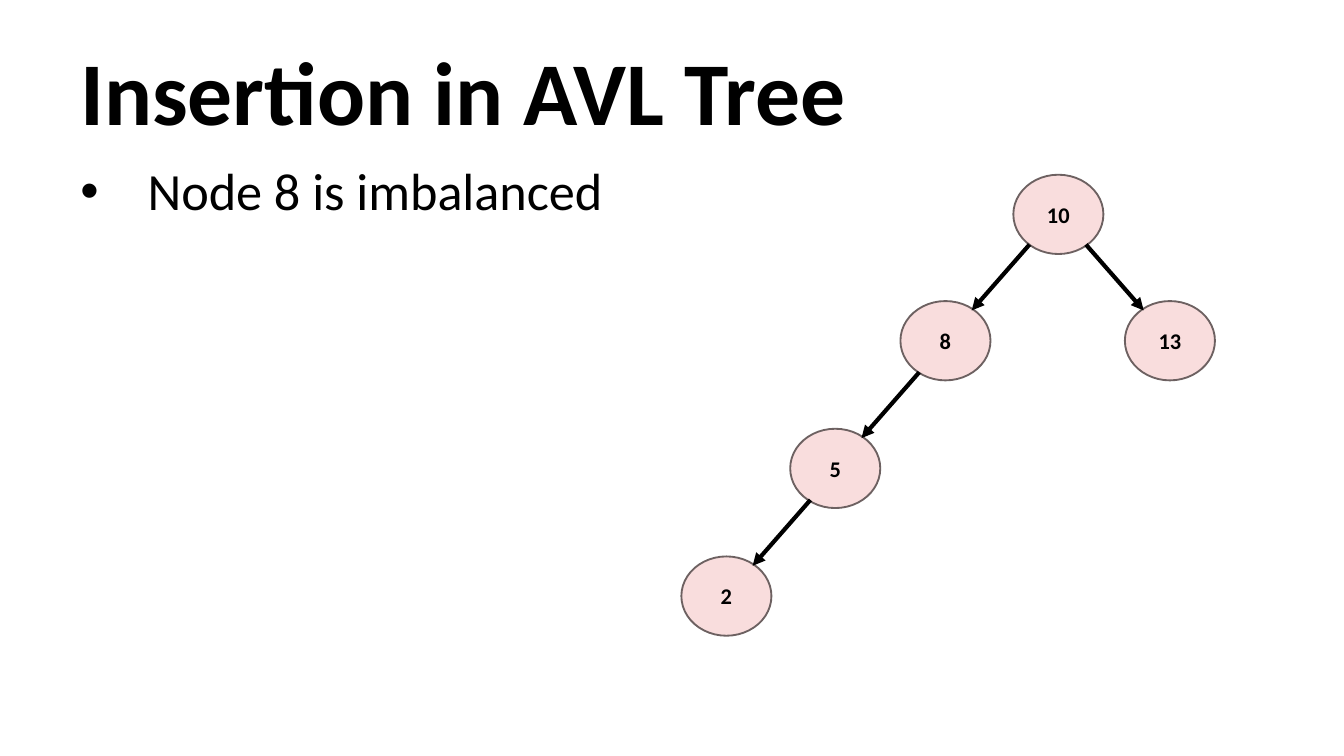
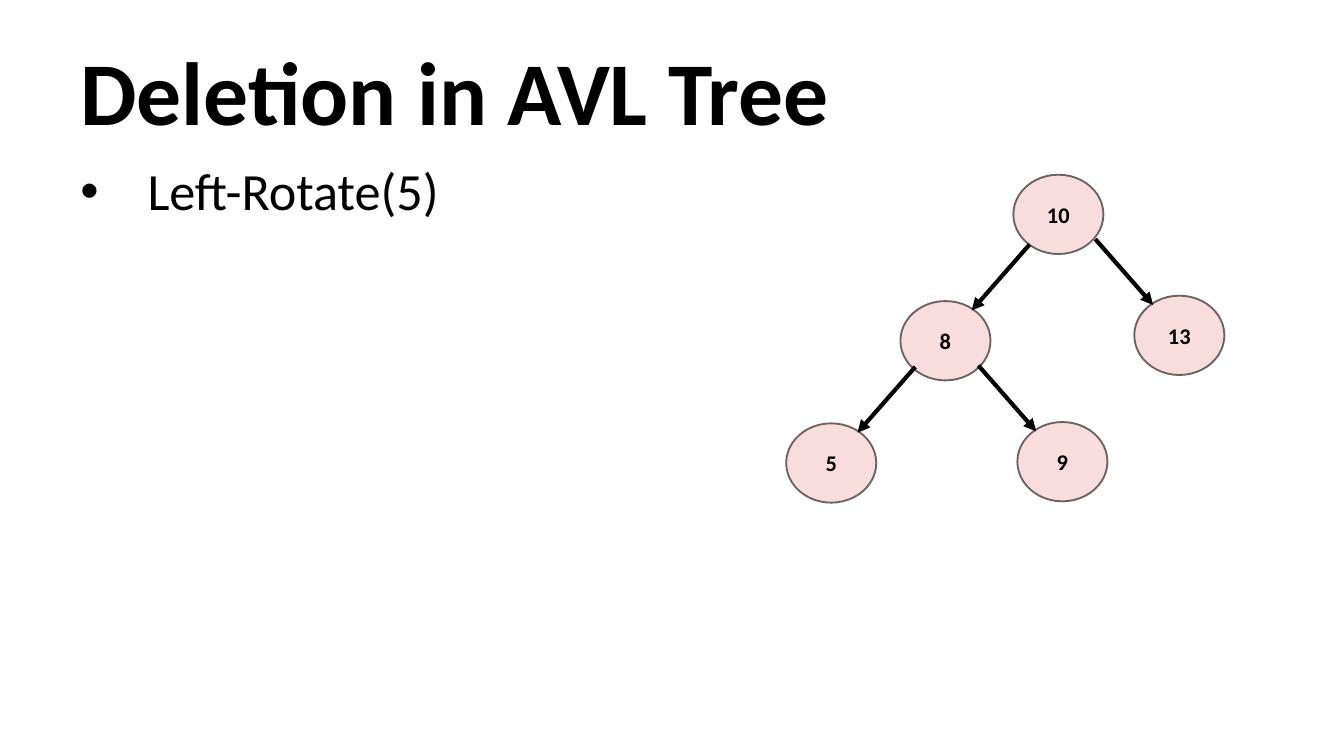
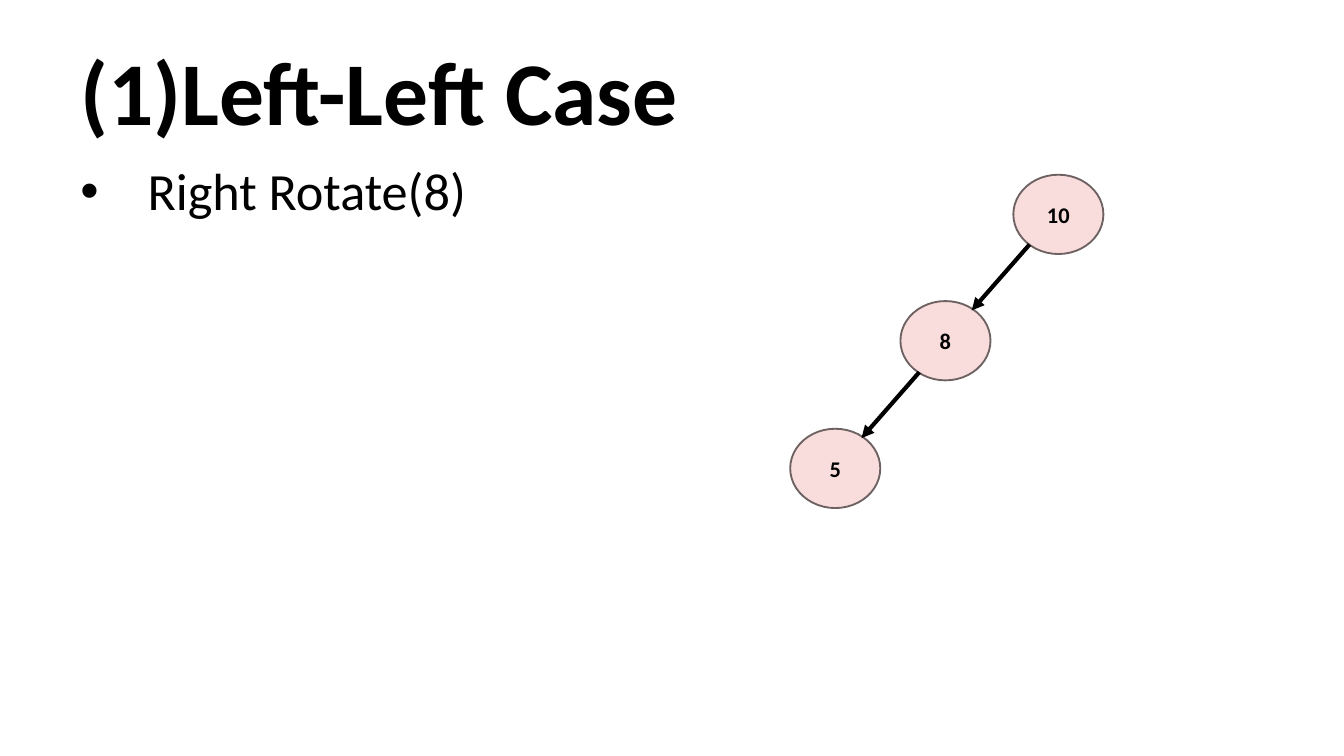
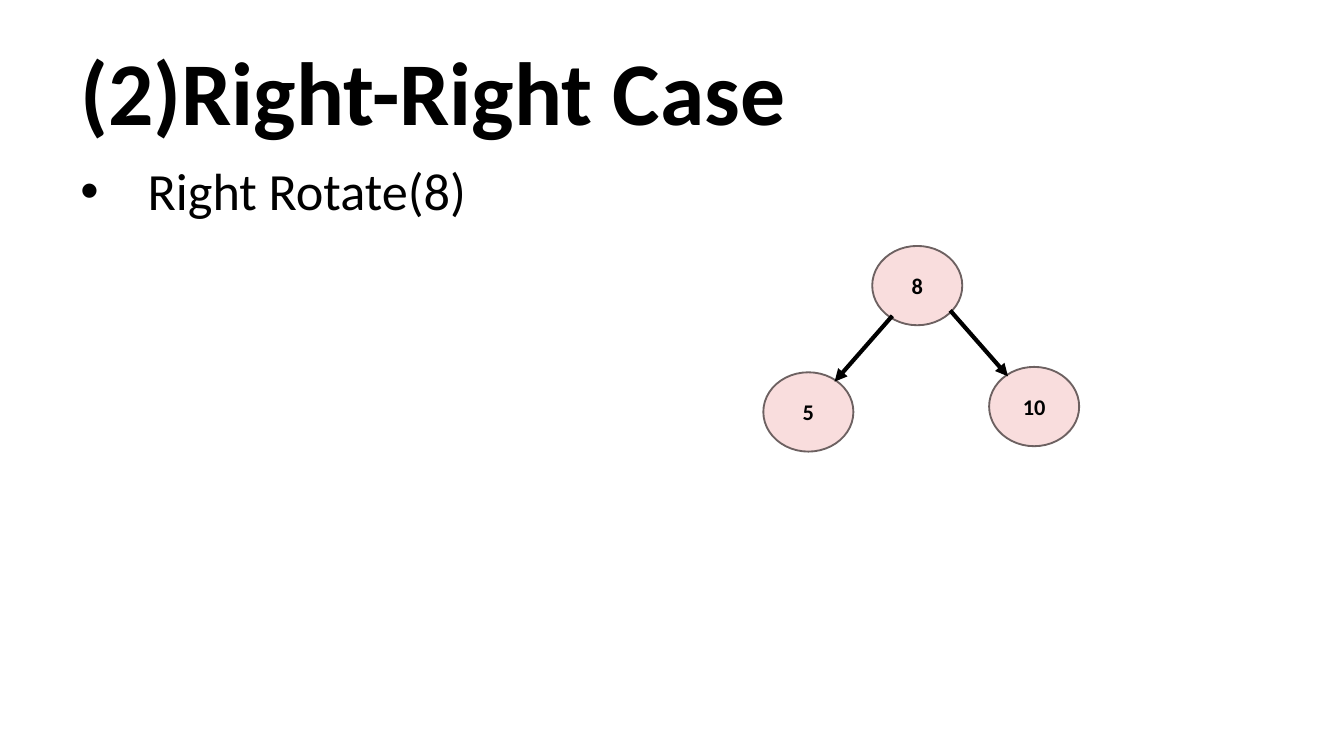
import pptx
import pptx.util
import pptx.dml.color
import pptx.enum.shapes
import pptx.enum.text
import pptx.oxml.ns
import lxml.etree

Inches, Pt = pptx.util.Inches, pptx.util.Pt
RGB = pptx.dml.color.RGBColor
PP = pptx.enum.text.PP_ALIGN
ANCHOR = pptx.enum.text.MSO_ANCHOR

BLACK = RGB(0, 0, 0)
WHITE = RGB(255, 255, 255)
PINK = RGB(0xF9, 0xDD, 0xDD)
GREY = RGB(0x6D, 0x61, 0x61)
FONT = "Calibri"

WIDE = 10
HIGH = WIDE * 9 / 16
MARGIN = 0.05 * WIDE
TITLE = (MARGIN, 0.31, WIDE - 2 * MARGIN, 0.87)
BODY_TOP = 1.18
NODE_W, NODE_H = 0.67, 0.59
# Arrow tip as an inset from the child's inner top corner, and the arrow's run
TIP_X, TIP_Y = 0.14, 0.07
RUN_X, RUN_Y = 0.43, 0.49

# Each node: key, left, top, side of its parent it hangs from
SLIDES = [
    {"title": "Insertion in AVL Tree", "point": "Node 8 is imbalanced",
     "body": (5.19, 1.55),
     "tree": [("10", 7.54, 1.3, None), ("8", 6.7, 2.24, "left"),
              ("13", 8.37, 2.24, "right"), ("5", 5.88, 3.19, "left"),
              ("2", 5.07, 4.14, "left")]},
    {"title": "Deletion in AVL Tree", "point": "Left-Rotate(5)",
     "body": (4.5, 4.13),
     "tree": [("10", 7.54, 1.3, None), ("8", 6.7, 2.24, "left"),
              ("9", 7.57, 3.14, "right"), ("13", 8.44, 2.2, "right"),
              ("5", 5.85, 3.15, "left")]},
    {"title": "(1)Left-Left Case", "point": "Right Rotate(8)",
     "body": (4.5, 4.13),
     "tree": [("10", 7.54, 1.3, None), ("8", 6.7, 2.24, "left"),
              ("5", 5.88, 3.19, "left")]},
    {"title": "(2)Right-Right Case", "point": "Right Rotate(8)",
     "body": (4.45, 1.24),
     "tree": [("8", 6.49, 1.83, None), ("10", 7.36, 2.73, "right"),
              ("5", 5.68, 2.77, "left")]},
]


def sub(parent, tag, **attrs):
    return lxml.etree.SubElement(parent, pptx.oxml.ns.qn(tag), attrs)


def write(shape, text, size, bold, anchor, align):
    frame = shape.text_frame
    frame.word_wrap = True
    frame.vertical_anchor = anchor
    para = frame.paragraphs[0]
    para.alignment = align
    run = para.add_run()
    run.text = text
    font = run.font
    font.name, font.size, font.bold = FONT, Pt(size), bold
    font.color.rgb = BLACK
    return para


def add_text(slide, box, text, size, bold):
    shape = slide.shapes.add_textbox(*map(Inches, box))
    para = write(shape, text, size, bold, ANCHOR.TOP, PP.LEFT)
    para.line_spacing = 0.9
    return para


def add_point(slide, text, size):
    para = add_text(slide, (MARGIN, BODY_TOP, *size), text, 28, False)
    props = para._p.get_or_add_pPr()
    indent = Inches(0.5)
    props.set("marL", str(indent))
    props.set("indent", str(-indent))
    sub(props, "a:buFont", typeface="Arial")
    sub(props, "a:buChar", char="•")


def add_node(slide, key, left, top):
    node = slide.shapes.add_shape(
        pptx.enum.shapes.MSO_SHAPE.OVAL,
        *map(Inches, (left, top, NODE_W, NODE_H)))
    node.shadow.inherit = False
    node.fill.solid()
    node.fill.fore_color.rgb = PINK
    node.line.color.rgb = GREY
    node.line.width = Pt(1)
    write(node, key, 12, True, ANCHOR.MIDDLE, PP.CENTER)


def add_arrow(slide, left, top, side):
    """Point from the parent down to the child at left, top."""
    if side == "left":
        tip, run = left + NODE_W - TIP_X, RUN_X
    else:
        tip, run = left + TIP_X, -RUN_X
    end = top + TIP_Y
    arrow = slide.shapes.add_connector(
        pptx.enum.shapes.MSO_CONNECTOR.STRAIGHT,
        *map(Inches, (tip + run, end - RUN_Y, tip, end)))
    arrow.line.color.rgb = BLACK
    arrow.line.width = Pt(2.25)
    sub(arrow.line._get_or_add_ln(), "a:tailEnd", type="triangle")
    sub(arrow._element.spPr, "a:effectLst")


def main():
    deck = pptx.Presentation()
    deck.slide_width, deck.slide_height = Inches(WIDE), Inches(HIGH)
    for page in SLIDES:
        slide = deck.slides.add_slide(deck.slide_layouts[6])
        slide.background.fill.solid()
        slide.background.fill.fore_color.rgb = WHITE
        add_text(slide, TITLE, page["title"], 48, True)
        add_point(slide, page["point"], page["body"])
        for key, left, top, side in page["tree"]:
            add_node(slide, key, left, top)
            if side:
                add_arrow(slide, left, top, side)
    deck.save("out.pptx")


if __name__ == "__main__":
    main()
